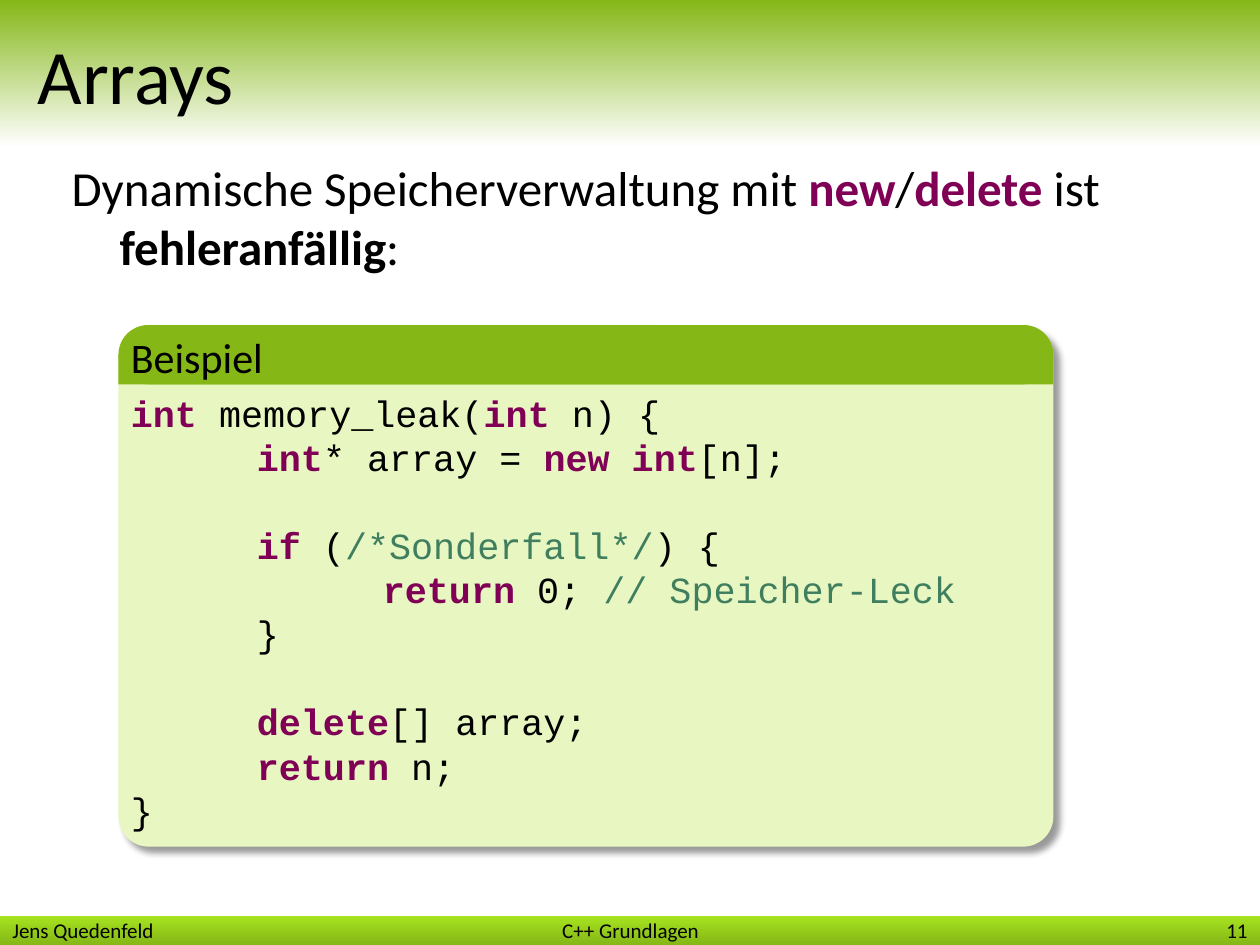
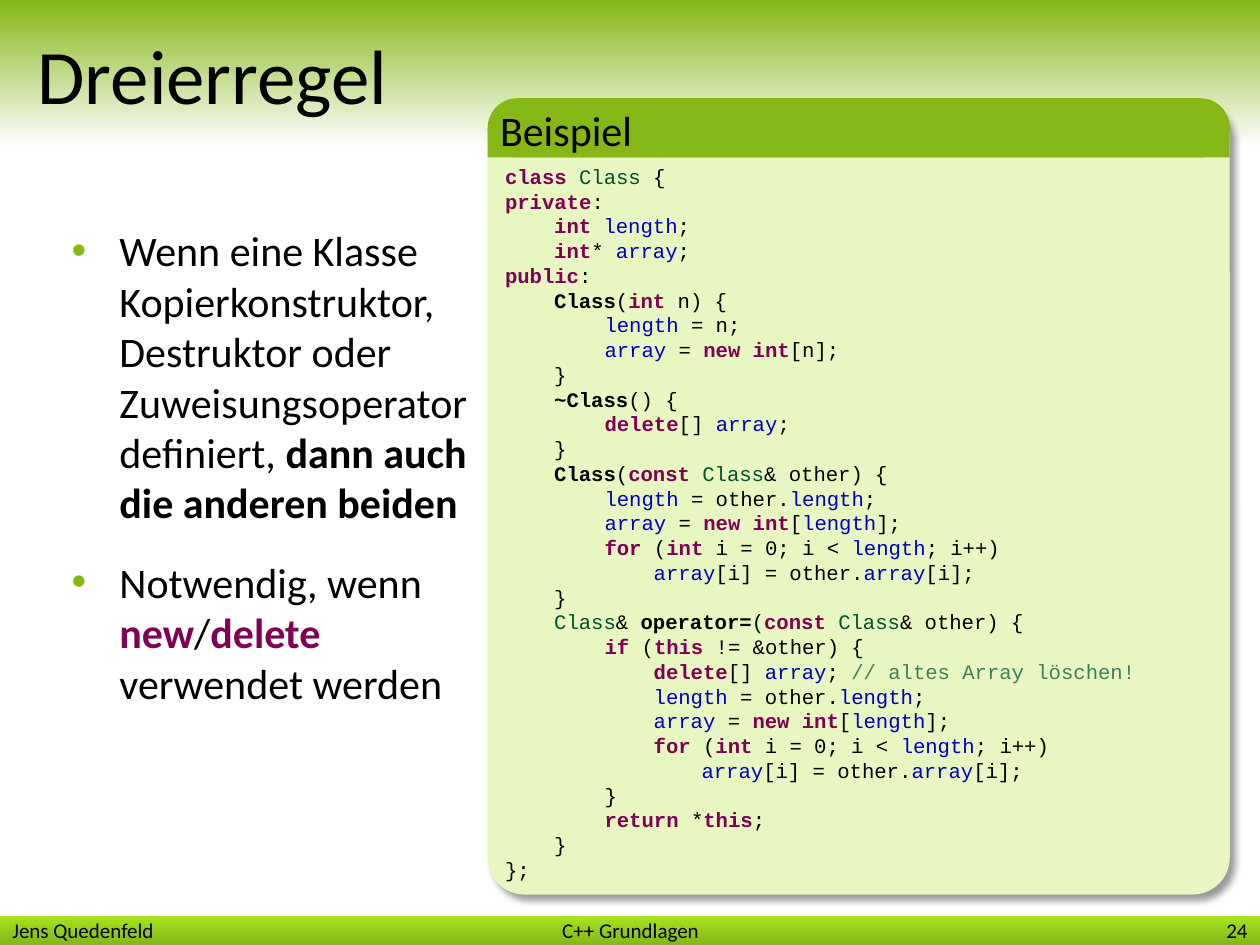
"""Build two slides on C++ memory handling, each with a code panel."""
from lxml import etree
from pptx import Presentation
from pptx.dml.color import RGBColor
from pptx.enum.shapes import MSO_SHAPE
from pptx.enum.text import MSO_ANCHOR, PP_ALIGN
from pptx.oxml.ns import qn
from pptx.util import Inches, Pt

RECT, ROUND = MSO_SHAPE.RECTANGLE, MSO_SHAPE.ROUNDED_RECTANGLE
TOP, MID = MSO_ANCHOR.TOP, MSO_ANCHOR.MIDDLE
LEFT, MIDDLE, RIGHT = PP_ALIGN.LEFT, PP_ALIGN.CENTER, PP_ALIGN.RIGHT

GREEN, LIME, PALE, WHITE = "85B717", "A6E31F", "E8F7C1", "FFFFFF"
SANS, MONO = "Calibri", "Courier New"
WIDE, HIGH = 10, 7.5
HEAD, FOOT, CAP = 1.17, 0.23, 0.47
BASE = HIGH - FOOT

# Marked text: `k...` keyword, `f...` field, `t...` type, `c...` comment, `b...` bold
MARKS = {
    "k": {"color": "7F0055", "bold": True},
    "f": {"color": "0000C0"},
    "t": {"color": "005032"},
    "c": {"color": "3F7F5F"},
    "b": {"bold": True},
}

FOOTER = [
    (0, 3.44, LEFT, "Jens Quedenfeld"),
    (2.27, 5.47, MIDDLE, "C++ Grundlagen"),
    (8.67, 1.33, RIGHT, "{page}"),
]

LEAK = [
    (0, "`kint` memory_leak(`kint` n) {"),
    (1, "`kint`* array = `knew int`[n];"),
    (1, ""),
    (1, "`kif` (`c/*Sonderfall*/`) {"),
    (2, "`kreturn` 0; `c// Speicher-Leck`"),
    (1, "}"),
    (1, ""),
    (1, "`kdelete`[] array;"),
    (1, "`kreturn` n;"),
    (0, "}"),
]

RULE = [
    (0, "`kclass` `tClass` {"),
    (0, "`kprivate`:"),
    (1, "`kint` `flength`;"),
    (1, "`kint`* `farray`;"),
    (0, "`kpublic`:"),
    (1, "`bClass`(`kint` n) {"),
    (2, "`flength` = n;"),
    (2, "`farray` = `knew int`[n];"),
    (1, "}"),
    (1, "`b~Class`() {"),
    (2, "`kdelete`[] `farray`;"),
    (1, "}"),
    (1, "`bClass`(`kconst` `tClass`& other) {"),
    (2, "`flength` = other.`flength`;"),
    (2, "`farray` = `knew int`[`flength`];"),
    (2, "`kfor` (`kint` i = 0; i < `flength`; i++)"),
    (3, "`farray`[i] = other.`farray`[i];"),
    (1, "}"),
    (1, "`tClass`& `boperator=`(`kconst` `tClass`& other) {"),
    (2, "`kif` (`kthis` != &other) {"),
    (3, "`kdelete`[] `farray`; `c// altes Array löschen!`"),
    (3, "`flength` = other.`flength`;"),
    (3, "`farray` = `knew int`[`flength`];"),
    (3, "`kfor` (`kint` i = 0; i < `flength`; i++)"),
    (4, "`farray`[i] = other.`farray`[i];"),
    (2, "}"),
    (2, "`kreturn` *`kthis`;"),
    (1, "}"),
    (0, "};"),
]

SLIDES = [
    {
        "title": "Arrays", "page": "11",
        "body": ["Dynamische Speicherverwaltung mit `knew`/`kdelete` ist "
                 "`bfehleranfällig`:"],
        "place": (0.47, 1.01, 8.91, 1.41),
        "form": {"size": 28, "hang": 0.38},
        "panel": (0.94, 2.58, 7.42, 4.14), "adj": 0.058,
        "code": LEAK, "shift": 0,
        "style": {"size": 21, "tabs": (1, 2)},
    },
    {
        "title": "Dreierregel", "page": "24",
        "body": ["Wenn eine Klasse Kopierkonstruktor, Destruktor oder "
                 "Zuweisungsoperator definiert, `bdann auch die anderen beiden`",
                 "Notwendig, wenn `knew`/`kdelete` verwendet werden"],
        "place": (0.47, 1.15, 3.36, 5.1),
        "form": {"size": 24, "hang": 0.38, "bullet": "•", "gap": 16.5},
        "panel": (3.87, 0.78, 5.89, 6.32), "adj": 0.05,
        "code": RULE, "shift": 0.04,
        "style": {"size": 11.8, "tabs": (0.39, 0.79, 1.18, 1.56)},
    },
]


def rgb(code):
    return RGBColor.from_string(code)


def node(root, tag, **attrs):
    return etree.SubElement(root, qn(tag), {k: str(v) for k, v in attrs.items()})


def block(slide, kind, box, *fills, adj=None):
    shape = slide.shapes.add_shape(kind, *map(Inches, box))
    shape.shadow.inherit = False
    shape.line.fill.background()
    if adj is not None:
        shape.adjustments[0] = adj
    if len(fills) == 1:
        shape.fill.solid()
        shape.fill.fore_color.rgb = rgb(fills[0])
    else:
        shape.fill.gradient()
        shape.fill.gradient_angle = 270
        for stop, code in zip(shape.fill.gradient_stops, fills):
            stop.color.rgb = rgb(code)
    return shape


def shade(shape):
    root = shape._element.spPr.find(qn("a:effectLst"))
    cast = node(root, "a:outerShdw", blurRad=Pt(4), dist=Pt(5.5),
                dir=50 * 60000, algn="tl", rotWithShape=0)
    tone = node(cast, "a:srgbClr", val="000000")
    node(tone, "a:alpha", val=40000)


def runs(para, text, size, font):
    for pos, part in enumerate(text.split("`")):
        if not part:
            continue
        look = {"color": "000000", "bold": False}
        if pos % 2:
            look |= MARKS[part[0]]
            part = part[1:]
        run = para.add_run()
        run.text = part
        run.font.color.rgb = rgb(look["color"])
        for key, val in {"size": Pt(size), "name": font, "bold": look["bold"]}.items():
            setattr(run.font, key, val)


def write(slide, box, lines, size, font=SANS, anchor=MID, align=LEFT,
          margin=0, hang=0, bullet=None, gap=0, tabs=()):
    frame = slide.shapes.add_textbox(*map(Inches, box)).text_frame
    frame.word_wrap = True
    frame.vertical_anchor = anchor
    for pos, text in enumerate(lines):
        para = frame.add_paragraph() if pos else frame.paragraphs[0]
        props = para._p.get_or_add_pPr()
        if margin or hang:
            props.set("marL", str(Inches(margin + hang)))
            props.set("indent", str(-Inches(hang)))
        if bullet:
            node(node(props, "a:buClr"), "a:srgbClr", val=GREEN)
            node(props, "a:buFont", typeface="Arial")
            node(props, "a:buChar", char=bullet)
        if tabs:
            stops = node(props, "a:tabLst")
            for tab in tabs:
                node(stops, "a:tab", pos=Inches(tab), algn="l")
        para.alignment = align
        if pos and gap:
            para.space_before = Pt(gap)
        runs(para, text, size, font)


def frame(slide, title, page):
    block(slide, RECT, (0, BASE, WIDE, FOOT), LIME, GREEN)
    block(slide, RECT, (0, 0, WIDE, HEAD), GREEN, WHITE)
    for left, width, align, text in FOOTER:
        write(slide, (left, BASE, width, FOOT), [text.format(page=page)], 12,
              align=align)
    write(slide, (0, 0, 9.53, HEAD), [title], 44, margin=0.2)


def panel(slide, box, adj, code, shift, style):
    left, top, width, height = box
    shade(block(slide, ROUND, box, PALE, adj=adj))
    block(slide, RECT, (left, top + CAP / 2, width, CAP / 2), GREEN)
    block(slide, ROUND, (left, top, width, CAP), GREEN, adj=0.5)
    write(slide, (left, top, width, 0.5), ["Beispiel"], 24, anchor=TOP)
    lines = ["\t" * depth + text for depth, text in code]
    write(slide, (left + shift, top + CAP, width - shift, height - CAP), lines,
          font=MONO, anchor=TOP, **style)


def main():
    deck = Presentation()
    deck.slide_width, deck.slide_height = Inches(WIDE), Inches(HIGH)
    for item in SLIDES:
        slide = deck.slides.add_slide(deck.slide_layouts[6])
        frame(slide, item["title"], item["page"])
        write(slide, item["place"], item["body"], **item["form"])
        panel(slide, item["panel"], item["adj"], item["code"], item["shift"],
              item["style"])
    deck.save("out.pptx")


if __name__ == "__main__":
    main()
